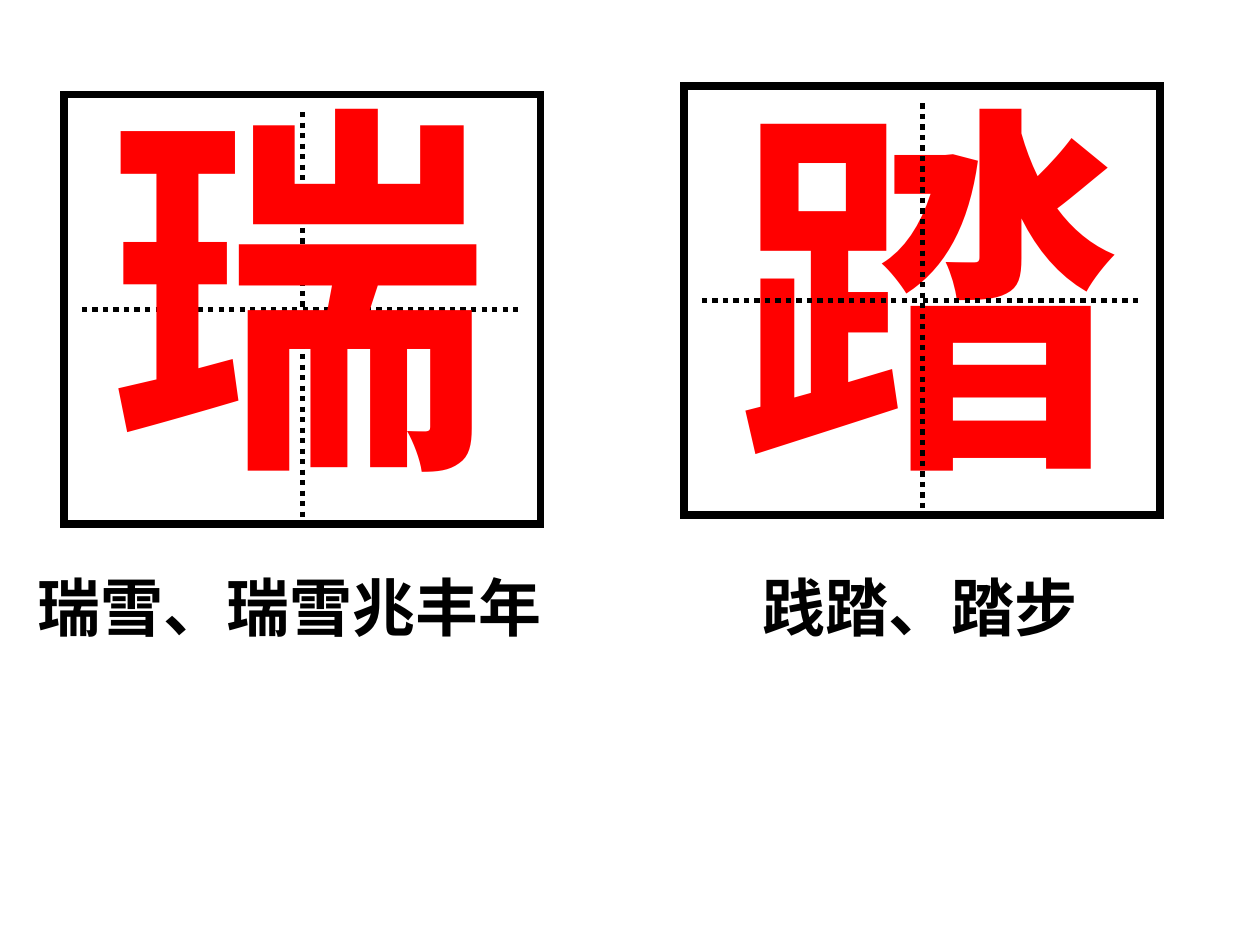
"""Build a slide with two Chinese characters in writing grids and example words."""
from lxml import etree
from pptx import Presentation
from pptx import util as u
from pptx.dml.color import RGBColor
from pptx.enum import dml, lang, shapes, text
from pptx.oxml import ns

BLACK = RGBColor(0, 0, 0)
RED = RGBColor(255, 0, 0)
SHADOW_GREY = "C0C0C0"
GRID_WIDTH, GRID_HEIGHT = 3.78, 3.41
GUIDE_INSET = 0.14


def add_effects(parent):
    """Add an empty effect list to a properties element and return it."""
    return etree.SubElement(parent, ns.qn("a:effectLst"))


def add_guide(group, start, end):
    """Add a dotted guide line between two points."""
    guide = group.shapes.add_connector(
        shapes.MSO_CONNECTOR.STRAIGHT, *(u.Inches(value) for value in start + end))
    guide.line.color.rgb = BLACK
    guide.line.width = u.Pt(3)
    guide.line.dash_style = dml.MSO_LINE.ROUND_DOT
    add_effects(guide._element.spPr)


def add_writing_grid(group, left, top):
    """Add a square frame with its centred dotted cross."""
    frame = group.shapes.add_shape(
        shapes.MSO_SHAPE.RECTANGLE,
        *(u.Inches(value) for value in (left, top, GRID_WIDTH, GRID_HEIGHT)))
    frame.shadow.inherit = False
    frame.fill.background()
    frame.line.color.rgb = BLACK
    frame.line.width = u.Pt(4.5)
    etree.SubElement(frame.line._get_or_add_ln(), ns.qn("a:miter"), lim="800000")
    middle, centre = left + GRID_WIDTH / 2, top + GRID_HEIGHT / 2
    add_guide(group, (middle, top + GUIDE_INSET), (middle, top + GRID_HEIGHT))
    add_guide(group, (left + GUIDE_INSET, centre),
              (left + GRID_WIDTH - GUIDE_INSET, centre))


def add_text(parent, box, words, size, font_name, color, wrap=True):
    """Add a bold single-run text box and return its paragraph."""
    shape = parent.shapes.add_textbox(*(u.Inches(value) for value in box))
    frame = shape.text_frame
    frame.word_wrap = wrap
    frame.auto_size = text.MSO_AUTO_SIZE.SHAPE_TO_FIT_TEXT
    paragraph = frame.paragraphs[0]
    run = paragraph.add_run()
    run.text = words
    run.font.name = font_name
    run.font.size = u.Pt(size)
    run.font.bold = True
    run.font.color.rgb = color
    run.font.language_id = lang.MSO_LANGUAGE_ID.SIMPLIFIED_CHINESE
    return paragraph


def add_character(group, left, width, character):
    """Add a large red character."""
    add_text(group, (left, 0.36, width, 3.77), character, 220, "Arial", RED)


def add_words(slide, left, width, words):
    """Add a centred line of example words with a soft text shadow."""
    paragraph = add_text(slide, (left, 4.46, width, 0.7), words, 36,
                         "Times New Roman", BLACK, wrap=False)
    paragraph.alignment = text.PP_ALIGN.CENTER
    properties = paragraph.runs[0]._r.get_or_add_rPr()
    effects = etree.Element(ns.qn("a:effectLst"))
    shadow = etree.SubElement(effects, ns.qn("a:outerShdw"),
                              dist="38100", dir="2700000", algn="tl")
    etree.SubElement(shadow, ns.qn("a:srgbClr"), val=SHADOW_GREY)
    properties.find(ns.qn("a:solidFill")).addnext(effects)


def main():
    """Build and save the slide."""
    presentation = Presentation()
    presentation.slide_width = u.Inches(10)
    presentation.slide_height = u.Inches(7.5)
    slide = presentation.slides.add_slide(presentation.slide_layouts[6])
    group = slide.shapes.add_group_shape()
    add_writing_grid(group, 0.51, 0.75)
    add_character(group, 0.75, 3.58, "瑞")
    add_character(group, 5.74, 3.18, "踏")
    add_writing_grid(group, 5.43, 0.68)
    add_words(slide, 0.2, 4.2, "瑞雪、瑞雪兆丰年")
    add_words(slide, 5.95, 2.7, "践踏、踏步")
    presentation.save("out.pptx")


if __name__ == "__main__":
    main()
